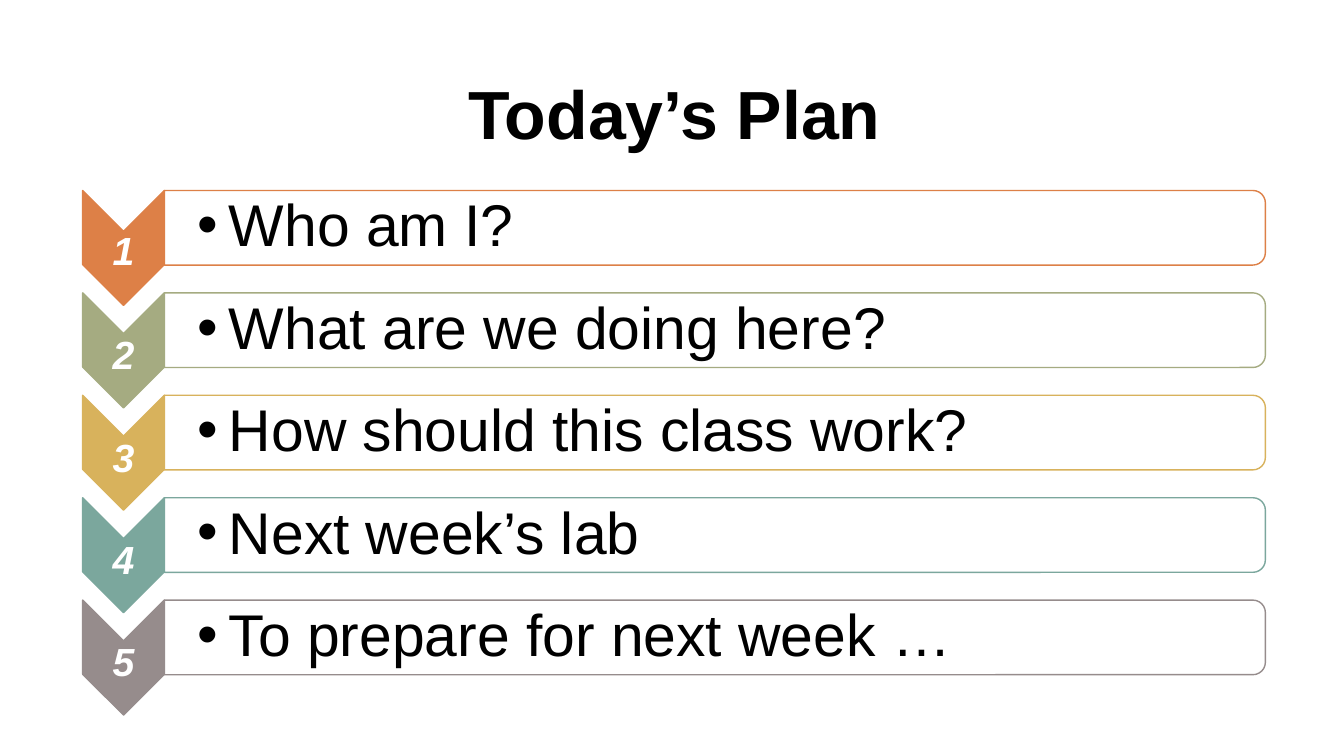
from lxml import etree
from pptx import Presentation
from pptx.dml.color import RGBColor
from pptx.enum.shapes import MSO_SHAPE
from pptx.enum.text import MSO_ANCHOR, PP_ALIGN
from pptx.oxml.ns import qn
from pptx.util import Inches, Pt

CHEVRON = MSO_SHAPE.CHEVRON
BAR = MSO_SHAPE.ROUND_2_SAME_RECTANGLE
TOP, MIDDLE = MSO_ANCHOR.TOP, MSO_ANCHOR.MIDDLE
CENTER, LEFT = PP_ALIGN.CENTER, PP_ALIGN.LEFT

BLACK = RGBColor(0x00, 0x00, 0x00)
WHITE = RGBColor(0xFF, 0xFF, 0xFF)
ORANGE = RGBColor(0xDD, 0x80, 0x47)
GREEN = RGBColor(0xA5, 0xAB, 0x81)
GOLD = RGBColor(0xD8, 0xB2, 0x5C)
TEAL = RGBColor(0x7B, 0xA7, 0x9D)
GRAY = RGBColor(0x96, 0x8C, 0x8C)

# Content
TITLE = "Today’s Plan"
STEPS = [
    ("Who am I?", ORANGE),
    ("What are we doing here?", GREEN),
    ("How should this class work?", GOLD),
    ("Next week’s lab", TEAL),
    ("To prepare for next week …", GRAY),
]

# Grid in inches: an arrow column, a bar column and equal rows
LEFT_X, SPLIT_X, RIGHT_X = 0.82, 1.63, 12.55
ROW_Y, ROW_STEP = 1.89, 1.016
ARROW_W, ARROW_H = SPLIT_X - LEFT_X, 1.14
BAR_W, BAR_H = RIGHT_X - SPLIT_X, 0.74
NOTCH = ARROW_W / 2
PAD = 0.03


def set_font(par, size, color, bold=False, italic=False):
    font = par.font
    font.name, font.size = "Arial", Pt(size)
    font.bold, font.italic = bold, italic
    font.color.rgb = color


def add_turned(kind, x, y, w, h, fill, line):
    """Add a shape turned a quarter, covering the box x, y, w, h."""
    shape = slide.shapes.add_shape(
        kind, Inches(x + (w - h) / 2), Inches(y + (h - w) / 2),
        Inches(h), Inches(w))
    shape.rotation = 90
    shape.shadow.inherit = False
    shape.fill.solid()
    shape.fill.fore_color.rgb = fill
    shape.line.color.rgb = line
    shape.line.width = Pt(1)
    return shape


def add_text(text, x, y, w, h, insets, anchor, align):
    box = slide.shapes.add_textbox(Inches(x), Inches(y), Inches(w), Inches(h))
    frame = box.text_frame
    frame.word_wrap = True
    frame.vertical_anchor = anchor
    (frame.margin_left, frame.margin_top,
     frame.margin_right, frame.margin_bottom) = map(Inches, insets)
    par = frame.paragraphs[0]
    par.text, par.alignment, par.line_spacing = text, align, 0.9
    return par


def add_bullet(par, indent):
    props = par._p.get_or_add_pPr()
    props.set("marL", str(Inches(indent)))
    props.set("indent", str(-Inches(indent)))
    etree.SubElement(props, qn("a:buFont")).set("typeface", "Arial")
    etree.SubElement(props, qn("a:buChar")).set("char", "•")


deck = Presentation()
deck.slide_width, deck.slide_height = Inches(13.33), Inches(7.5)
slide = deck.slides.add_slide(deck.slide_layouts[5])

# Title
title = slide.shapes.title
title.left, title.top = Inches(0.83), Inches(0.73)
title.width, title.height = Inches(11.72), Inches(0.87)
title.text_frame.text = TITLE
title.text_frame.vertical_anchor = MIDDLE
head = title.text_frame.paragraphs[0]
head.alignment, head.line_spacing = CENTER, 0.9
set_font(head, 48.6, BLACK, bold=True)

# Numbered steps
for i, (text, color) in enumerate(STEPS):
    y = ROW_Y + i * ROW_STEP

    add_turned(CHEVRON, LEFT_X, y, ARROW_W, ARROW_H, color, color)
    inset = 0.02 if i else 0
    number = add_text(str(i + 1), LEFT_X, y + NOTCH, ARROW_W, 0.34,
                      (0.02, inset, 0.02, inset), TOP, CENTER)
    set_font(number, 28, WHITE, bold=True, italic=True)

    add_turned(BAR, SPLIT_X, y, BAR_W, BAR_H, WHITE, color)
    label = add_text(text, SPLIT_X, y + PAD, BAR_W, BAR_H - 2 * PAD,
                     (0.33, PAD, PAD, PAD), MIDDLE, LEFT)
    add_bullet(label, 0.31)
    set_font(label, 42, BLACK)

deck.save("out.pptx")
